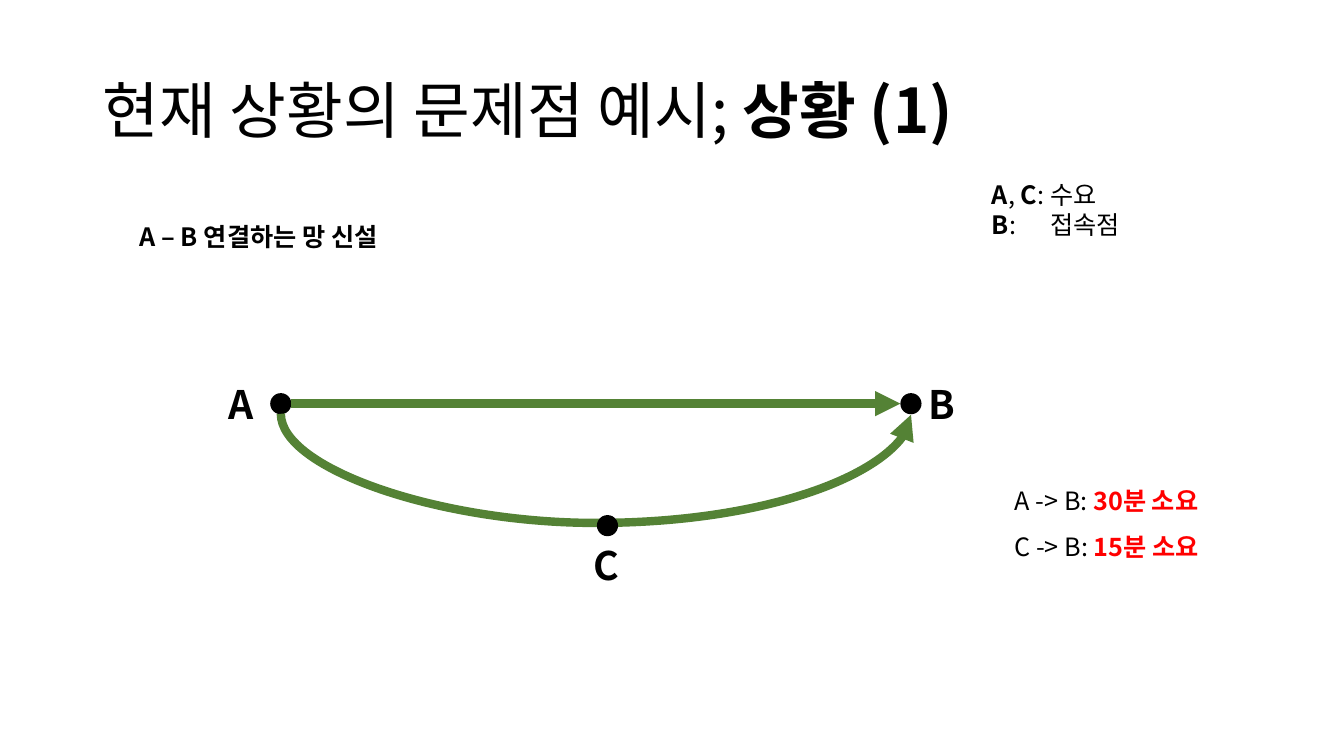
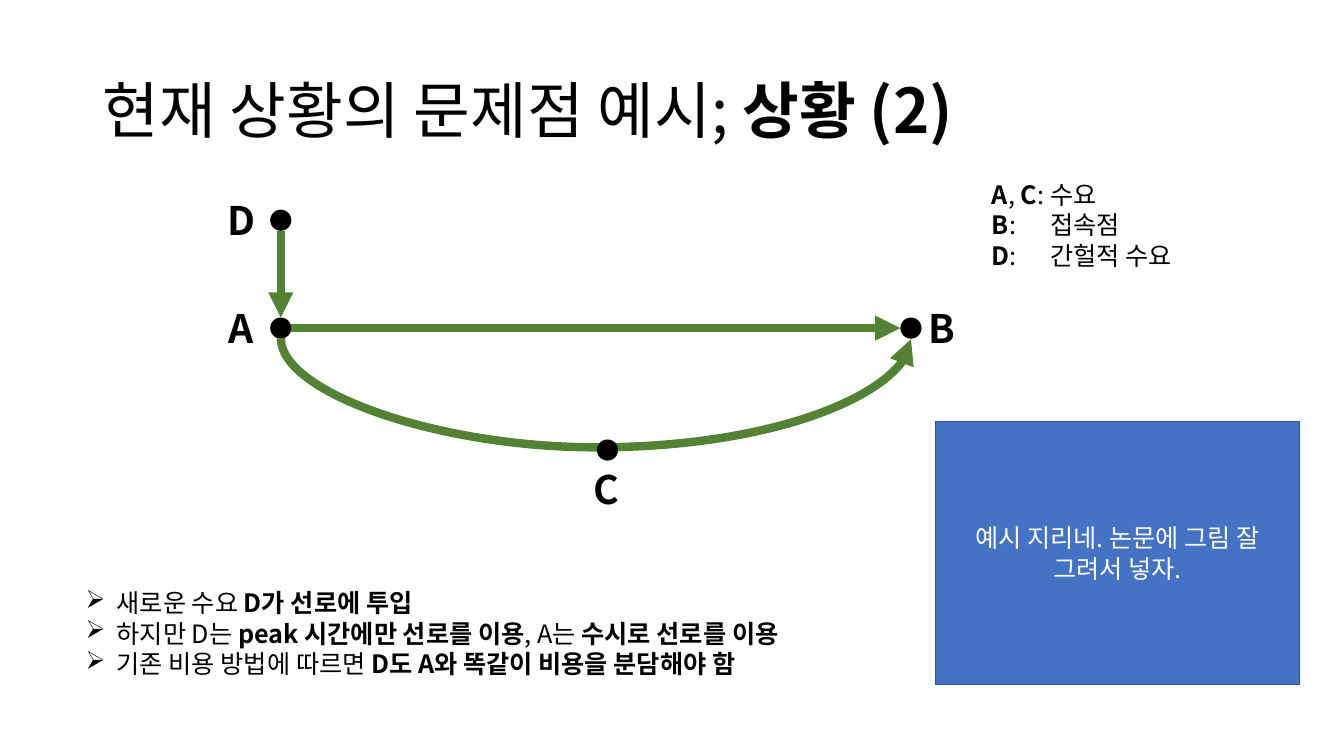
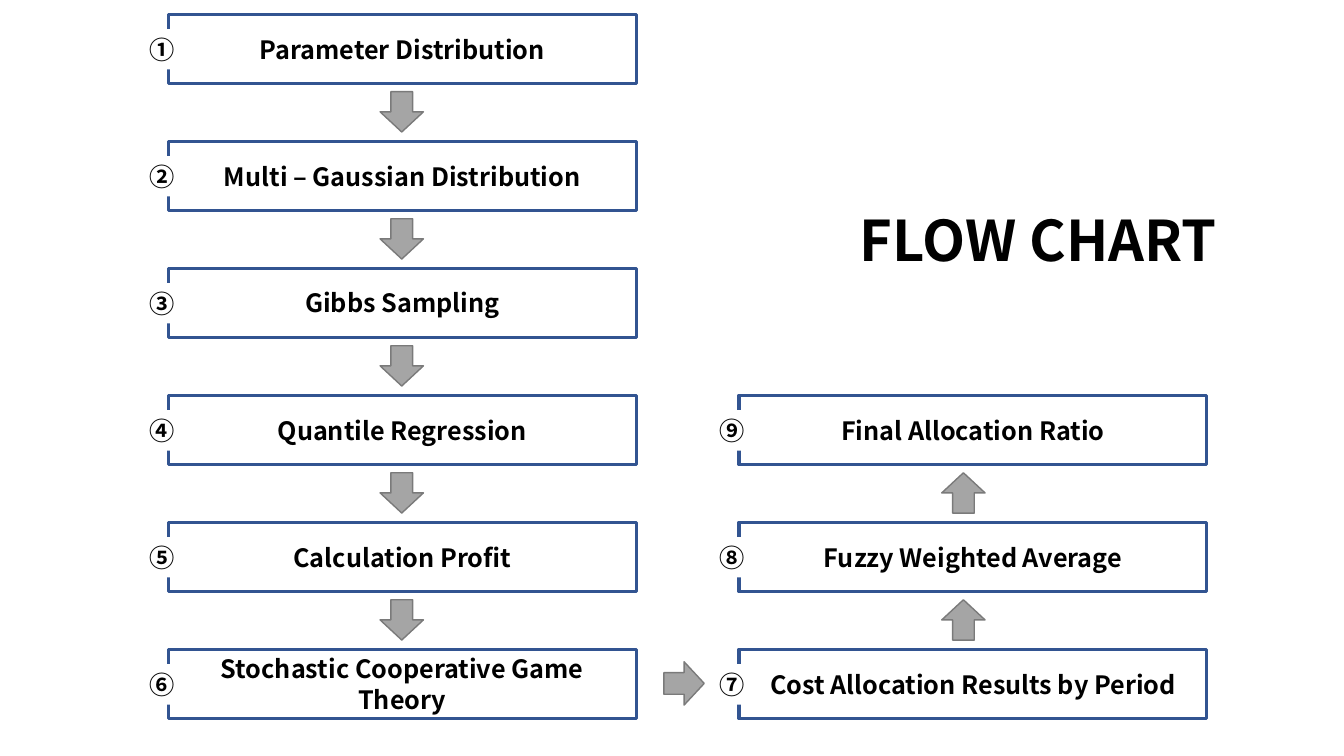
from lxml.etree import SubElement
from pptx import Presentation
from pptx.dml.color import RGBColor
from pptx.enum.shapes import MSO_CONNECTOR as LINK, MSO_SHAPE as SHAPE
from pptx.enum.text import MSO_ANCHOR as ANCHOR, PP_ALIGN as ALIGN
from pptx.oxml.ns import qn
from pptx.util import Inches, Pt

FONT = "Noto Sans CJK KR"
BLACK, WHITE, RED = "000000", "FFFFFF", "FF0000"
GREEN, BLUE, NAVY = "548235", "4472C4", "325491"
GREY, DARK_GREY = "A5A5A5", "7A7A7A"

# A paragraph is a tuple of runs that alternate plain, bold, plain, ...
HEADING = "현재 상황의 문제점 예시; "
NEW_LINK = [("", "A – B 연결하는 망 신설")]
TRAVEL_TIMES = [("A -> B: ", "30분 소요"), ("C -> B: ", "15분 소요")]
LEGEND = [("", "A", ",", " C", ": 수요"), ("", "B", ":\t접속점")]
LEGEND_D = ("", "D", ":\t간헐적 수요")
FINDINGS = [
    ("새로운 수요 ", "D가 선로에 투입"),
    ("하지만 D는 ", "peak 시간에만 선로를 이용", ", A는 ", "수시로 선로를 이용"),
    ("기존 비용 방법에 따르면 ", "D도 A와 똑같이 비용을 분담해야 함"),
]
REMARK = [("예시 지리네. 논문에 그림 잘 그려서 넣자.",)]

# Step, column, row, direction of the arrow that follows
STEPS = [
    ("Parameter Distribution", 0, 0, "down"),
    ("Multi – Gaussian Distribution", 0, 1, "down"),
    ("Gibbs Sampling", 0, 2, "down"),
    ("Quantile Regression", 0, 3, "down"),
    ("Calculation Profit", 0, 4, "down"),
    ("Stochastic Cooperative Game Theory", 0, 5, "right"),
    ("Cost Allocation Results by Period", 1, 5, "up"),
    ("Fuzzy Weighted Average", 1, 4, "up"),
    ("Final Allocation Ratio", 1, 3, None),
]
COLUMN_LEFT = [1.67, 7.33]
ARROW_LEFT = [3.77, 9.34]
ROW_TOP, ROW_PITCH = 0.14, 1.26
STEP_W, STEP_H = 4.64, 0.69
MARK_W, MARK_H = 0.43, 0.4

DOT = 0.21
A_LEFT, B_LEFT, C_LEFT = 2.68, 8.93, 5.92
C_DROP, CURVE_DEPTH = 1.21, 1.1
SITE_TOP, SITE_LEFT, SITE_BOTTOM, SITE_RIGHT = 0, 2, 4, 6


def rgb(hex_code):
    """Turn a hex string into a colour."""
    return RGBColor.from_string(hex_code)


def write(shape, paragraphs, size=18, color=BLACK, bold_color=None, align=ALIGN.LEFT,
          anchor=ANCHOR.TOP, spacing=None, bullet=None, tab=None):
    """Fill a shape with paragraphs of alternating plain and bold runs."""
    frame = shape.text_frame
    frame.word_wrap = True
    frame.vertical_anchor = anchor
    for index, runs in enumerate(paragraphs):
        paragraph = frame.add_paragraph() if index else frame.paragraphs[0]
        paragraph.alignment = align
        if spacing:
            paragraph.line_spacing = spacing
        props = paragraph._p.get_or_add_pPr()
        if bullet:
            props.set("marL", str(Inches(0.31)))
            props.set("indent", str(-Inches(0.31)))
            SubElement(props, qn("a:buChar"), char=bullet)
        if tab:
            stops = SubElement(props, qn("a:tabLst"))
            SubElement(stops, qn("a:tab"), pos=str(Inches(tab)), algn="l")
        font = paragraph.font
        font.size, font.name = Pt(size), FONT
        font.color.rgb = rgb(color)
        SubElement(props.find(qn("a:defRPr")), qn("a:ea"), typeface=FONT)
        for place, words in enumerate(runs):
            if not words:
                continue
            run = paragraph.add_run()
            run.text = words
            run.font.bold = place % 2 == 1
            if bold_color and run.font.bold:
                run.font.color.rgb = rgb(bold_color)


def add_text(slide, box, paragraphs, **style):
    """Add a text box at box = left, top, width, height."""
    write(slide.shapes.add_textbox(*map(Inches, box)), paragraphs, **style)


def add_block(slide, kind, box, fill=None, line=None, width=1):
    """Add a flat preset shape with an optional fill and outline."""
    block = slide.shapes.add_shape(kind, *map(Inches, box))
    block.shadow.inherit = False
    if fill:
        block.fill.solid()
        block.fill.fore_color.rgb = rgb(fill)
    else:
        block.fill.background()
    if line:
        block.line.color.rgb = rgb(line)
        block.line.width = Pt(width)
    else:
        block.line.fill.background()
    return block


def add_link(slide, kind, ends, start, start_site, stop, stop_site):
    """Add a thick green arrow glued to two dots."""
    link = slide.shapes.add_connector(kind, *map(Inches, ends))
    link.line.color.rgb = rgb(GREEN)
    link.line.width = Pt(6)
    SubElement(link.get_or_add_ln(), qn("a:tailEnd"), type="triangle")
    SubElement(link._element.spPr, qn("a:effectLst"))
    glue = link._element.nvCxnSpPr.cNvCxnSpPr
    for joint, dot, site in ((glue.get_or_add_stCxn(), start, start_site),
                             (glue.get_or_add_endCxn(), stop, stop_site)):
        joint.id, joint.idx = dot.shape_id, site
    return link


def add_node(slide, name, left, top, shift=(-0.56, -0.18), label_w=0.55):
    """Add a black dot with its letter beside it."""
    dot = add_block(slide, SHAPE.OVAL, (left, top, DOT, DOT), BLACK)
    add_text(slide, (left + shift[0], top + shift[1], label_w, 0.57), [("", name)],
             size=28, align=ALIGN.CENTER)
    return dot


def add_network(slide, top):
    """Draw A, B, C and their links, with A and B at the given top; return A."""
    half = DOT / 2
    a = add_node(slide, "A", A_LEFT, top)
    b = add_node(slide, "B", B_LEFT, top, (0.1, -0.18), 0.63)
    add_link(slide, LINK.STRAIGHT, (A_LEFT + DOT, top + half, B_LEFT, top + half),
             a, SITE_RIGHT, b, SITE_LEFT)

    # The curve stands upright and is turned so that it hangs below A and B
    thin, span = 0.01, B_LEFT - A_LEFT
    middle_x, middle_y = (A_LEFT + B_LEFT) / 2 + half, top + DOT
    curve = add_link(slide, LINK.CURVE,
                     (middle_x + thin / 2, middle_y - span / 2,
                      middle_x - thin / 2, middle_y + span / 2),
                     a, SITE_BOTTOM, b, SITE_BOTTOM)
    props = curve._element.spPr
    props.find(qn("a:xfrm")).set("rot", str(270 * 60000))
    geometry = props.find(qn("a:prstGeom"))
    bend = round(CURVE_DEPTH / thin * 100000)
    SubElement(geometry.find(qn("a:avLst")), qn("a:gd"), name="adj1", fmla=f"val {bend}")

    add_node(slide, "C", C_LEFT, top + C_DROP, (-0.22, 0.21), 0.63)
    return a


def add_situation(number, legend, legend_w):
    """Start a situation slide with its title and legend."""
    slide = add_slide()
    add_text(slide, (0.92, 0.4, 11.5, 1.45), [(HEADING, f"상황 ({number})")],
             size=44, anchor=ANCHOR.MIDDLE, spacing=0.9)
    add_text(slide, (9.74, 1.73, legend_w, 0.11 + 0.3 * len(legend)), legend, tab=0.58)
    return slide


def add_slide():
    """Add a blank slide."""
    return deck.slides.add_slide(deck.slide_layouts[6])


def add_arrow(slide, left, top, turn):
    """Add a grey block arrow, turned clockwise from pointing down."""
    arrow = add_block(slide, SHAPE.DOWN_ARROW, (left, top, MARK_W, MARK_H), GREY, DARK_GREY)
    arrow.rotation = turn


def add_step(slide, number, name, column, row, direction):
    """Add one numbered step and the arrow that follows it."""
    left, top = COLUMN_LEFT[column], ROW_TOP + row * ROW_PITCH
    centred = dict(align=ALIGN.CENTER, anchor=ANCHOR.MIDDLE)
    write(add_block(slide, SHAPE.RECTANGLE, (left, top, STEP_W, STEP_H), None, NAVY, 2.25),
          [("", name)], **centred)
    write(add_block(slide, SHAPE.RECTANGLE, (left - 0.29, top + 0.15, MARK_W, MARK_H), WHITE),
          [("", number)], **centred)
    if direction == "down":
        add_arrow(slide, ARROW_LEFT[column], top + 0.77, 0)
    elif direction == "up":
        add_arrow(slide, ARROW_LEFT[column], top + 0.77 - ROW_PITCH, 180)
    elif direction == "right":
        add_arrow(slide, left + STEP_W + 0.26, top + 0.14, 270)


deck = Presentation()
deck.slide_width, deck.slide_height = Inches(13.33), Inches(7.5)

first = add_situation(1, LEGEND, 2.09)
add_network(first, 3.9)
add_text(first, (0.92, 2.15, 3.29, 0.4), NEW_LINK, align=ALIGN.CENTER)
add_text(first, (9.74, 4.62, 2.47, 0.95), TRAVEL_TIMES, bold_color=RED,
         align=ALIGN.CENTER, spacing=1.5)

second = add_situation(2, LEGEND + [LEGEND_D], 2.37)
a_top, d_top = 3.15, 2.08
a_dot = add_network(second, a_top)
d_dot = add_node(second, "D", A_LEFT, d_top)
d_x = A_LEFT + DOT / 2
add_link(second, LINK.STRAIGHT, (d_x, d_top + DOT, d_x, a_top),
         d_dot, SITE_BOTTOM, a_dot, SITE_TOP)
add_text(second, (0.75, 5.78, 10.74, 1.01), FINDINGS, bullet="➢")
write(add_block(second, SHAPE.RECTANGLE, (9.28, 4.18, 3.61, 2.61), BLUE, NAVY),
      REMARK, color=WHITE, align=ALIGN.CENTER, anchor=ANCHOR.MIDDLE)

flow = add_slide()
add_text(flow, (8.43, 1.99, 4.34, 0.77), [("", "FLOW CHART")], size=40)
for number, step in zip("①②③④⑤⑥⑦⑧⑨", STEPS):
    add_step(flow, number, *step)

deck.save("out.pptx")
